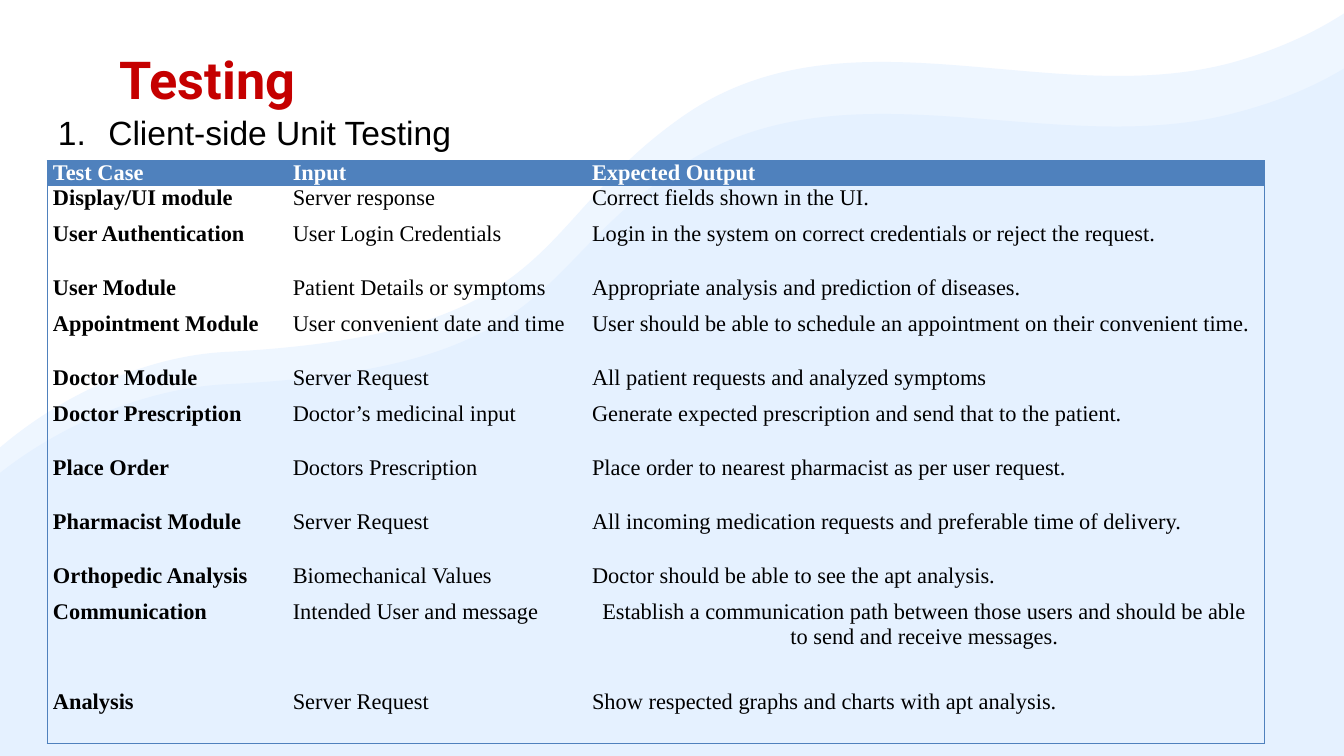
from lxml import etree
from pptx import Presentation
from pptx.dml.color import RGBColor
from pptx.enum import text
from pptx.oxml import ns
from pptx.util import Pt

COLORS = {
    "pale wave": "EEF6FF", "deep wave": "E5F1FF", "title": "C50000",
    "header": "4F81BD", "ink": "000000", "white": "FFFFFF",
}
SERIF = "Times New Roman"
LIGHT_STYLE_2_ACCENT_1 = "{69012ECD-51FC-41F1-AA8D-1B2483CD663E}"

# Wave crests as cubic curves, right to left: (start, [(control, control, end), ...])
PALE_CREST = ((720, 7.2), [
    ((703.4, 18), (684, 26.6), (661.7, 33.1)),
    ((563.8, 60.5), (452.9, 0), (364.3, 63.4)),
    ((282.2, 121.7), (301.7, 179.3), (120.2, 188.6)),
    ((79.9, 190.8), (34.6, 210.2), (0, 239.8)),
])
DEEP_CREST = ((720, 36.7), [
    ((703.4, 46.8), (684, 54.7), (661.7, 60.5)),
    ((563.8, 86.4), (452.9, 30.2), (364.3, 89.3)),
    ((282.2, 143.3), (301.7, 197.3), (120.2, 205.9)),
    ((79.9, 208.1), (34.6, 226.1), (0, 253.4)),
])

HEADINGS = ("Test Case", "Input", "Expected Output")
# Row height in units, then the three cells
CASES = [
    (2, "Display/UI module", "Server response", "Correct fields shown in the UI."),
    (3, "User Authentication", "User Login Credentials",
     "Login in the system on correct credentials or reject the request."),
    (2, "User Module", "Patient Details or symptoms",
     "Appropriate analysis and prediction of diseases."),
    (3, "Appointment Module", "User convenient date and time",
     "User should be able to schedule an appointment on their convenient time."),
    (2, "Doctor Module", "Server Request", "All patient requests and analyzed symptoms"),
    (3, "Doctor Prescription", "Doctor’s medicinal input",
     "Generate expected prescription and send that to the patient."),
    (3, "Place Order", "Doctors Prescription",
     "Place order to nearest pharmacist as per user request."),
    (3, "Pharmacist Module", "Server Request",
     "All incoming medication requests and preferable time of delivery."),
    (2, "Orthopedic Analysis", "Biomechanical Values",
     "Doctor should be able to see the apt analysis."),
    (5, "Communication", "Intended User and message",
     "Establish a communication path between those users and should be able "
     "to send and receive messages."),
    (3, "Analysis", "Server Request", "Show respected graphs and charts with apt analysis."),
]
ROW_UNIT = 9.64
COLUMN_WIDTHS = (128.5, 160.3, 363.2)


def rgb(name):
    return RGBColor.from_string(COLORS[name])


def style(para, font_name, size, color, bold=False):
    font = para.font
    font.name, font.size, font.bold = font_name, Pt(size), bold
    font.color.rgb = rgb(color)


def place(shape, box):
    shape.left, shape.top, shape.width, shape.height = map(Pt, box)


def bend_edges(shape, curves):
    """Turn the first straight edges of a freeform into cubic curves."""
    edges = list(shape.element.iter(ns.qn("a:lnTo")))
    for edge, curve in zip(edges, curves):
        bend = etree.Element(ns.qn("a:cubicBezTo"))
        for x, y in curve:
            etree.SubElement(bend, ns.qn("a:pt"),
                             x=str(Pt(x) - shape.left), y=str(Pt(y) - shape.top))
        edge.getparent().replace(edge, bend)


def add_wave(page, crest, bottom, color):
    """Fill from the crest down to bottom, behind the title."""
    start, curves = crest
    corners = [curve[-1] for curve in curves] + [(0, bottom), (720, bottom)]
    builder = page.shapes.build_freeform(*map(Pt, start), scale=1.0)
    builder.add_line_segments([(Pt(x), Pt(y)) for x, y in corners], close=True)
    wave = builder.convert_to_shape()
    bend_edges(wave, curves)
    wave.shadow.inherit = False
    wave.fill.solid()
    wave.fill.fore_color.rgb = rgb(color)
    wave.line.fill.background()
    page.shapes.title.element.addprevious(wave.element)


def fill_placeholder(shape, box, words, anchor, inset):
    place(shape, box)
    frame = shape.text_frame
    frame.text = words
    frame.word_wrap = True
    frame.auto_size = text.MSO_AUTO_SIZE.NONE
    frame.vertical_anchor = anchor
    frame.margin_left = frame.margin_right = Pt(inset)
    frame.margin_top = frame.margin_bottom = Pt(inset)
    para = frame.paragraphs[0]
    para.alignment = text.PP_ALIGN.LEFT
    para.space_before = Pt(0)
    return para


def add_heading(page, box):
    para = fill_placeholder(page.shapes.title, box, "Testing",
                            text.MSO_ANCHOR.BOTTOM, 7.2)
    style(para, "Roboto", 28, "title", bold=True)


def add_numbered_subtitle(page, box):
    para = fill_placeholder(page.placeholders[1], box, "Client-side Unit Testing",
                            text.MSO_ANCHOR.MIDDLE, 0)
    style(para, "Arial", 18, "ink")
    props = para._p.get_or_add_pPr()
    props.set("marL", str(Pt(27)))
    props.set("indent", str(-Pt(27)))
    etree.SubElement(props, ns.qn("a:buFont"), typeface="+mj-lt")
    etree.SubElement(props, ns.qn("a:buAutoNum"), type="arabicPeriod")
    # The default run properties must stay last
    props.append(props.find(ns.qn("a:defRPr")))


def fill_cell(cell, words, column, is_header):
    cell.text = words
    cell.margin_left, cell.margin_right = Pt(3), Pt(4)
    cell.margin_top = cell.margin_bottom = Pt(0)
    style(cell.text_frame.paragraphs[0], SERIF, 12,
          "white" if is_header else "ink", bold=is_header or column == 0)
    if is_header:
        cell.fill.solid()
        cell.fill.fore_color.rgb = rgb("header")
    else:
        cell.fill.background()


def add_case_table(page, box):
    rows = [HEADINGS] + [case[1:] for case in CASES]
    heights = [13.4] + [case[0] * ROW_UNIT for case in CASES]
    table = page.shapes.add_table(len(rows), len(HEADINGS), *map(Pt, box)).table
    table.first_col = True
    table._tbl.tblPr.find(ns.qn("a:tableStyleId")).text = LIGHT_STYLE_2_ACCENT_1
    for column, width in zip(table.columns, COLUMN_WIDTHS):
        column.width = Pt(width)
    for r, (row, height) in enumerate(zip(rows, heights)):
        table.rows[r].height = Pt(height)
        for c, words in enumerate(row):
            fill_cell(table.cell(r, c), words, c, r == 0)
            if row[0] == "Communication" and c == 2:
                table.cell(r, c).text_frame.paragraphs[0].alignment = text.PP_ALIGN.CENTER


def main():
    deck = Presentation()
    deck.slide_width, deck.slide_height = Pt(720), Pt(405)
    page = deck.slides.add_slide(deck.slide_layouts[0])
    add_wave(page, PALE_CREST, 402.5, "pale wave")
    add_wave(page, DEEP_CREST, 405, "deep wave")
    add_heading(page, (56.9, 20.9, 606, 45.4))
    add_numbered_subtitle(page, (31, 56.5, 316, 28))
    add_case_table(page, (25.4, 86.2, 652, 314))
    deck.save("out.pptx")


if __name__ == "__main__":
    main()
